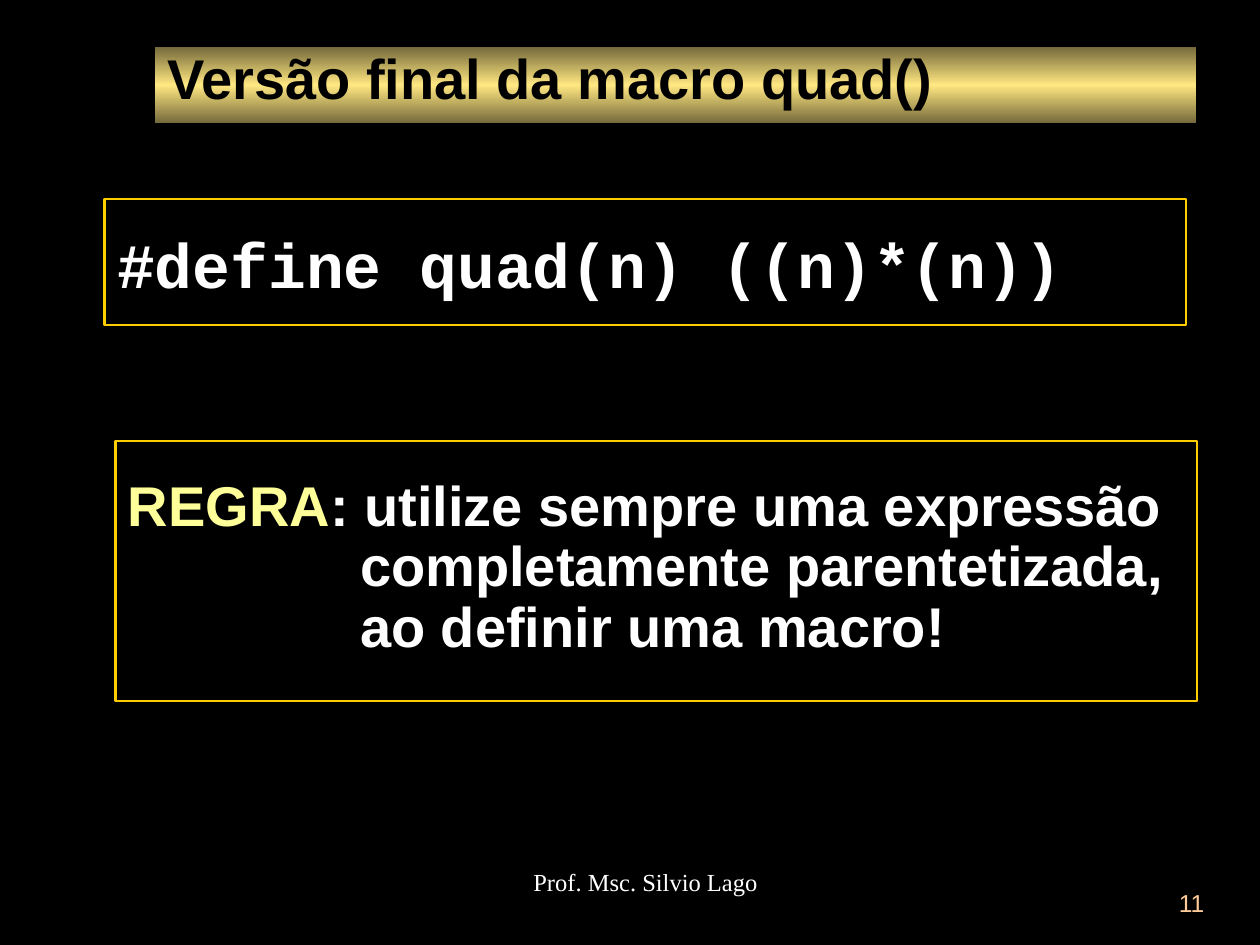
from copy import deepcopy

from pptx import Presentation
from pptx.dml.color import RGBColor
from pptx.enum import shapes, text
from pptx.oxml import ns
from pptx.util import Cm, Pt

BLACK = RGBColor(0x00, 0x00, 0x00)
WHITE = RGBColor(0xFF, 0xFF, 0xFF)
GOLD = RGBColor(0xFF, 0xCC, 0x00)
LIGHT = RGBColor(0xFF, 0xE7, 0x81)
DARK = RGBColor(0x73, 0x68, 0x3A)
YELLOW = RGBColor(0xFF, 0xFF, 0x99)
PEACH = RGBColor(0xFF, 0xCC, 0x99)
LEFT = text.PP_ALIGN.LEFT
MIDDLE = text.MSO_ANCHOR.MIDDLE


class Deck:
    sans = "Arial"
    mono = "Courier New"
    serif = "Times New Roman"

    def __init__(self):
        self.prs = Presentation()
        self.prs.slide_width, self.prs.slide_height = Cm(25.4), Cm(19.05)
        self.slide = self.prs.slides.add_slide(self.prs.slide_layouts[5])
        back = self.slide.background.fill
        back.solid()
        back.fore_color.rgb = BLACK

    def place(self, shape, area):
        shape.left, shape.top, shape.width, shape.height = map(Cm, area)

    def inset(self, frame, top, bottom):
        frame.margin_left = frame.margin_right = Cm(0.25)
        frame.margin_top, frame.margin_bottom = Cm(top), Cm(bottom)
        frame.word_wrap = True
        frame.auto_size = text.MSO_AUTO_SIZE.NONE

    def font(self, run, name, size, color, bold=False):
        run.font.name, run.font.size = name, Pt(size)
        run.font.color.rgb, run.font.bold = color, bold

    def shade(self, shape, colors):
        shape.fill.gradient()
        shape.fill.gradient_angle = 90
        stops = shape._element.spPr.find(ns.qn("a:gradFill")).find(ns.qn("a:gsLst"))
        stops.insert(1, deepcopy(stops[0]))
        for i, (stop, color) in enumerate(zip(shape.fill.gradient_stops, colors)):
            stop.position = i / (len(colors) - 1)
            stop.color.rgb = color

    def title(self, words, area):
        shape = self.slide.shapes.title
        self.place(shape, area)
        self.shade(shape, [DARK, LIGHT, DARK])
        frame = shape.text_frame
        frame.text = words
        self.inset(frame, 0, 0.33)
        frame.vertical_anchor = MIDDLE
        line = frame.paragraphs[0]
        line.alignment = LEFT
        self.font(line.runs[0], self.sans, 32, BLACK, True)

    def box(self, lines, area, name, size, space, indent=0):
        shape = self.slide.shapes.add_shape(shapes.MSO_SHAPE.RECTANGLE, *map(Cm, area))
        shape.shadow.inherit = False
        shape.fill.background()
        shape.line.color.rgb, shape.line.width = GOLD, Pt(1.5)
        frame = shape.text_frame
        frame.text = "\n".join(lines)
        self.inset(frame, 0.03, 0.13)
        frame.vertical_anchor = MIDDLE
        for i, line in enumerate(frame.paragraphs):
            line.alignment, line.line_spacing = LEFT, space
            if i:
                line._p.get_or_add_pPr().set("marL", str(Cm(indent)))
            self.font(line.runs[0], name, size, WHITE, True)
        return frame

    def label(self, words, area, name, color, align):
        frame = self.slide.shapes.add_textbox(*map(Cm, area)).text_frame
        frame.text = words
        self.inset(frame, 0.13, 0.13)
        line = frame.paragraphs[0]
        line.alignment = align
        self.font(line.runs[0], name, 14, color)
        return line


def main():
    deck = Deck()
    deck.title("Versão final da macro quad()", (3.12, 0.94, 21, 1.55))
    deck.box(["#define quad(n) ((n)*(n))"], (2.11, 4.01, 21.8, 2.54), deck.mono, 36, 1.1)

    rule = deck.box(
        ["REGRA", "completamente parentetizada,", "ao definir uma macro!"],
        (2.33, 8.89, 21.8, 5.24), deck.sans, 32, 0.9, 4.68)
    head = rule.paragraphs[0]
    head.runs[0].font.color.rgb = YELLOW
    rest = head.add_run()
    rest.text = ": utilize sempre uma expressão"
    deck.font(rest, deck.sans, 32, WHITE, True)

    name = deck.label("Prof. Msc. Silvio Lago", (8.69, 17.35, 8.05, 1.27),
                      deck.serif, WHITE, text.PP_ALIGN.CENTER)
    name._p.get_or_add_pPr().set("marL", str(Cm(0.6)))
    deck.label("11", (19.25, 17.78, 5.28, 1.27), deck.sans, PEACH, text.PP_ALIGN.RIGHT)
    deck.prs.save("out.pptx")


if __name__ == "__main__":
    main()
